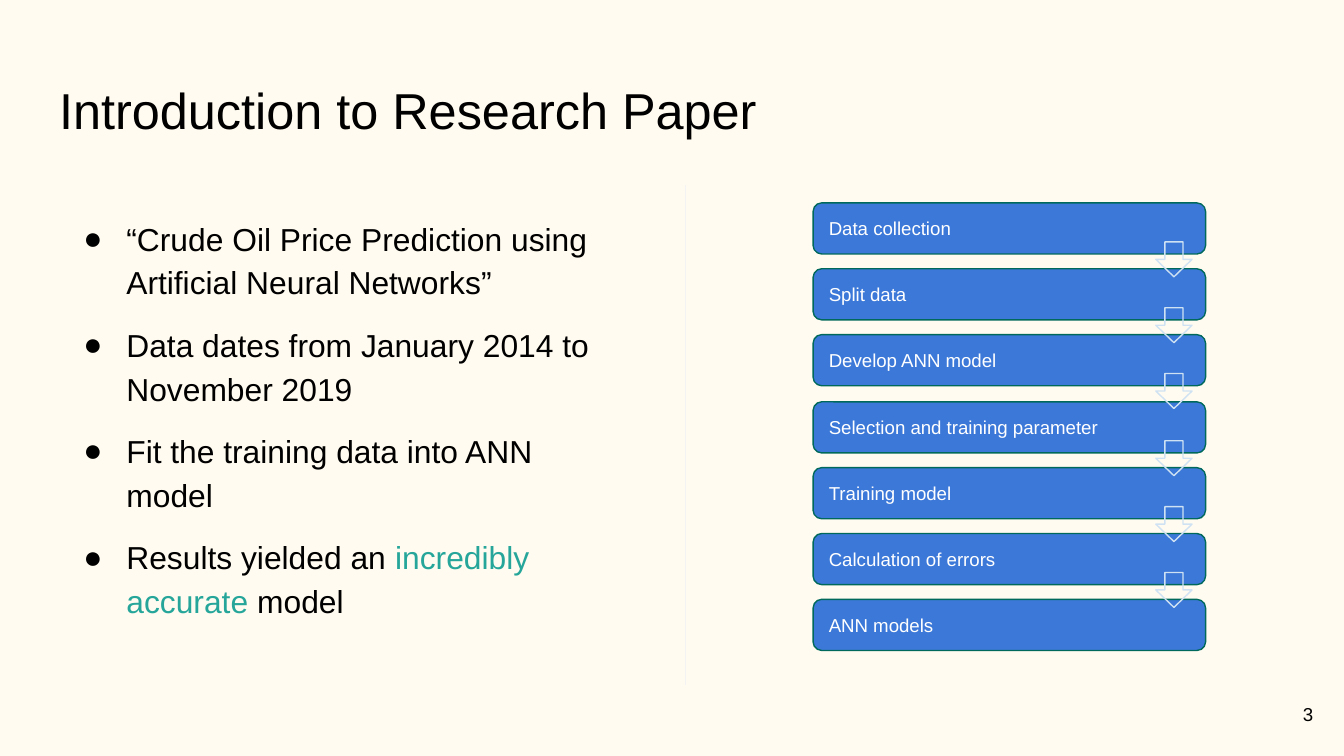
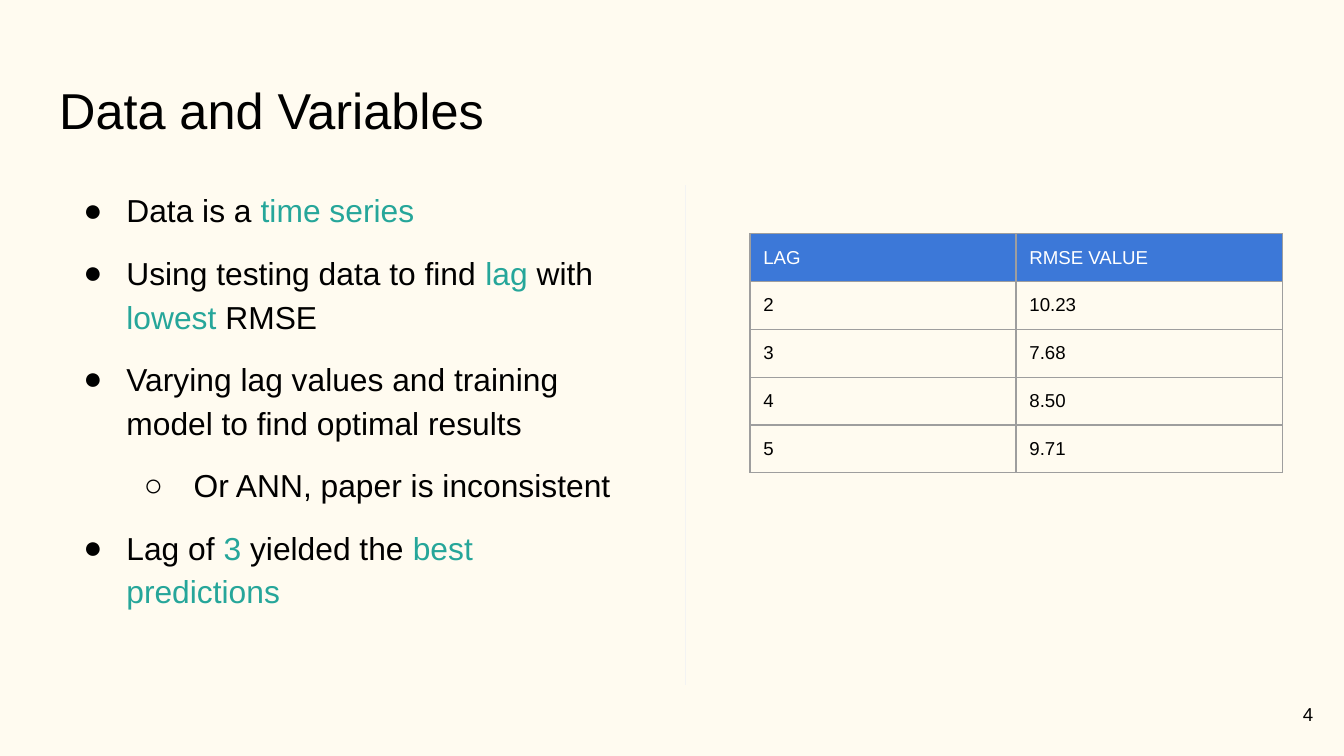
"""Build two slides on a research paper: its steps, and its data."""
from dataclasses import dataclass
from typing import Any

from lxml import etree
from pptx import Presentation
from pptx import util as u
from pptx.dml.color import RGBColor
from pptx.enum import shapes, text
from pptx.oxml.ns import qn

SCALE = 9144
WIDE = 1000 * SCALE
FONT = "Arial"
HEX = {
    "page": "FFFBF0", "ink": "000000", "white": "FFFFFF", "accent": "26A69A",
    "blue": "3C78D8", "edge": "00695C", "arrow": "CFE2F3",
    "rule": "F3F3F3", "grid": "9E9E9E",
}
THIN = u.Pt(0.75)
INSET = {f"margin_{side}": 10 * SCALE for side in ("left", "right", "top", "bottom")}
FRAME = {**INSET, "word_wrap": True, "auto_size": text.MSO_AUTO_SIZE.NONE}
TOP = {**FRAME, "vertical_anchor": text.MSO_ANCHOR.TOP}
MID = {**FRAME, "vertical_anchor": text.MSO_ANCHOR.MIDDLE}
LEFT = {"alignment": text.PP_ALIGN.LEFT}
RIGHT = {"alignment": text.PP_ALIGN.RIGHT}
PLAIN = {"first_row": False, "horz_banding": False}
MARKS = (("●", 50, -32), ("○", 100, -37))


@dataclass(frozen=True)
class Box:
    """A place on the slide, in px of a hundredth of an inch."""
    left: int
    top: int
    width: int
    height: int

    def emu(self) -> tuple[int, ...]:
        """Give the four lengths in EMU."""
        return tuple(n * SCALE for n in (self.left, self.top, self.width, self.height))


@dataclass(frozen=True)
class Item:
    """A list entry; stars surround its accented words."""
    words: str
    level: int = 0
    before: int = 10
    after: int = 0


TITLE = Box(34, 49, 932, 67)
NUMBER = Box(927, 510, 60, 43)
STEP = Box(605, 151, 292, 38)
ARROW = Box(860, 180, 27, 26)
SPAN = 295
TABLE = Box(558, 174, 396, 115)

STEPS = ("Data collection", "Split data", "Develop ANN model",
         "Selection and training parameter", "Training model",
         "Calculation of errors", "ANN models")
PAPER = (
    Item("“Crude Oil Price Prediction using Artificial Neural Networks”", before=0),
    Item("Data dates from January 2014 to November 2019"),
    Item("Fit the training data into ANN model"),
    Item("Results yielded an *incredibly accurate* model"),
)
DATA = (
    Item("Data is a *time series*"),
    Item("Using testing data to find *lag* with *lowest *RMSE"),
    Item("Varying lag values and training model to find optimal results"),
    Item("Or ANN, paper is inconsistent", level=1),
    Item("Lag of *3* yielded the *best predictions*", after=10),
)
ROWS = (("LAG", "RMSE VALUE"), ("2", "10.23"), ("3", "7.68"),
        ("4", "8.50"), ("5", "9.71"))


def put(thing: Any, values: dict[str, Any]) -> None:
    """Set each named attribute."""
    for name, value in values.items():
        setattr(thing, name, value)


def tint(name: str) -> RGBColor:
    """Look up a colour."""
    return RGBColor.from_string(HEX[name])


def paint(fill: Any, name: str) -> None:
    """Make a fill solid."""
    fill.solid()
    fill.fore_color.rgb = tint(name)


def stroke(line: Any, name: str) -> None:
    """Draw a thin line."""
    paint(line.fill, name)
    line.width = THIN


def write(para: Any, words: str, size: int, hue: str = "ink") -> None:
    """Add runs, with the accent colour between stars."""
    for pos, part in enumerate(words.split("*")):
        if part:
            run = para.add_run()
            run.text = part
            put(run.font, {"name": FONT, "size": u.Pt(size), "bold": False})
            run.font.color.rgb = tint("accent" if pos % 2 else hue)


def place(shape: Any, box: Box) -> None:
    """Move a placeholder."""
    put(shape, dict(zip(("left", "top", "width", "height"), box.emu())))


def mark(para: Any, level: int) -> None:
    """Give a paragraph its bullet and indent."""
    sign, margin, indent = MARKS[level]
    props = para._p.get_or_add_pPr()
    props.set("marL", str(margin * SCALE))
    props.set("indent", str(indent * SCALE))
    color = etree.SubElement(props, qn("a:buClr"))
    etree.SubElement(color, qn("a:srgbClr"), val=HEX["ink"])
    etree.SubElement(props, qn("a:buFont"), typeface=FONT)
    etree.SubElement(props, qn("a:buChar"), char=sign)


def bullets(body: Any, items: tuple[Item, ...]) -> None:
    """Fill the body with a list."""
    frame = body.text_frame
    put(frame, TOP)
    for pos, item in enumerate(items):
        para = frame.add_paragraph() if pos else frame.paragraphs[0]
        mark(para, item.level)
        put(para, {**LEFT, "level": item.level, "line_spacing": 1.15,
                   "space_before": u.Pt(item.before), "space_after": u.Pt(item.after)})
        write(para, item.words, 17)


def label(shape: Any, words: str, size: int, frame: dict[str, Any],
          look: dict[str, Any] = LEFT, hue: str = "ink") -> None:
    """Write one line in a shape."""
    put(shape.text_frame, frame)
    para = shape.text_frame.paragraphs[0]
    put(para, look)
    write(para, words, size, hue)


def start(deck: Any, title: str, number: int, top: int, items: tuple[Item, ...]) -> Any:
    """Add a slide with title, list, rule and number."""
    slide = deck.slides.add_slide(deck.slide_layouts[1])
    head, body = slide.placeholders
    place(head, TITLE)
    label(head, title, 27, TOP)
    place(body, Box(34, top, 437, 372))
    bullets(body, items)
    label(slide.shapes.add_textbox(*NUMBER.emu()), str(number), 10, MID, RIGHT)
    rule = slide.shapes.add_connector(
        shapes.MSO_CONNECTOR.STRAIGHT, *(n * SCALE for n in (510, 138, 510, 510)))
    stroke(rule.line, "rule")
    etree.SubElement(rule._element.spPr, qn("a:effectLst"))
    return slide


def block(slide: Any, kind: Any, box: Box, drop: int, edge: str) -> Any:
    """Add an outlined shape, lowered by a drop."""
    spot = Box(box.left, box.top + drop, box.width, box.height)
    shape = slide.shapes.add_shape(kind, *spot.emu())
    shape.shadow.inherit = False
    shape.fill.background()
    stroke(shape.line, edge)
    return shape


def flow(slide: Any) -> None:
    """Stack the steps from the last up, with arrows between."""
    last = len(STEPS) - 1
    for pos in range(last, -1, -1):
        drop = round(pos * SPAN / last)
        step = block(slide, shapes.MSO_SHAPE.ROUNDED_RECTANGLE, STEP, drop, "edge")
        paint(step.fill, "blue")
        label(step, STEPS[pos], 10, MID, hue="white")
        if pos < last:
            block(slide, shapes.MSO_SHAPE.DOWN_ARROW, ARROW, drop, "arrow")


def border(cell: Any) -> None:
    """Line all four sides of a cell."""
    props = cell._tc.get_or_add_tcPr()
    for pos, side in enumerate("LRTB"):
        line = etree.Element(qn(f"a:ln{side}"), w=str(THIN))
        fill = etree.SubElement(line, qn("a:solidFill"))
        etree.SubElement(fill, qn("a:srgbClr"), val=HEX["grid"])
        props.insert(pos, line)


def grid(slide: Any) -> None:
    """Draw the table of errors by lag."""
    table = slide.shapes.add_table(len(ROWS), len(ROWS[0]), *TABLE.emu()).table
    put(table, PLAIN)
    for row, values in enumerate(ROWS):
        for col, value in enumerate(values):
            cell = table.cell(row, col)
            put(cell, INSET)
            if row:
                cell.fill.background()
            else:
                paint(cell.fill, "blue")
            border(cell)
            write(cell.text_frame.paragraphs[0], value, 10, "ink" if row else "white")


def main() -> None:
    """Build and save the deck."""
    deck = Presentation()
    put(deck, {"slide_width": WIDE, "slide_height": WIDE * 9 // 16})
    paint(deck.slide_master.background.fill, "page")
    flow(start(deck, "Introduction to Research Paper", 3, 149, PAPER))
    grid(start(deck, "Data and Variables", 4, 128, DATA))
    deck.save("out.pptx")


if __name__ == "__main__":
    main()
